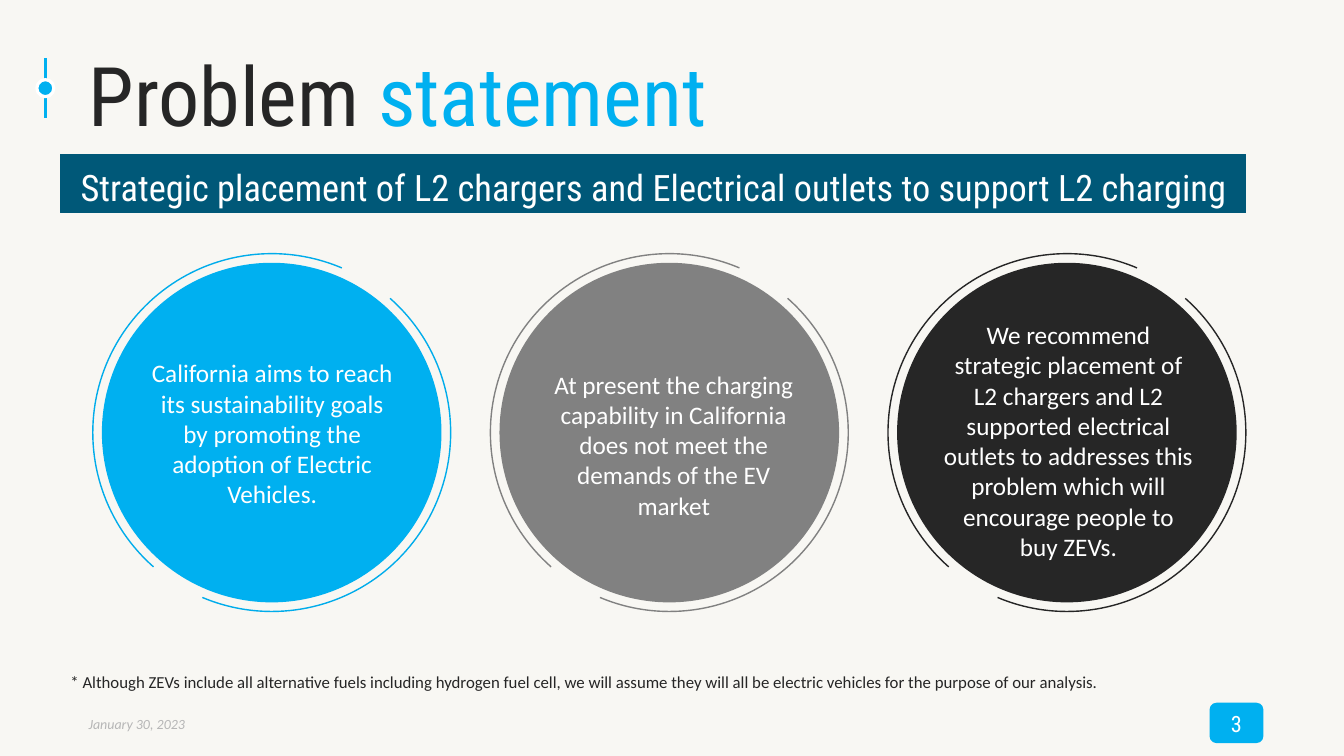
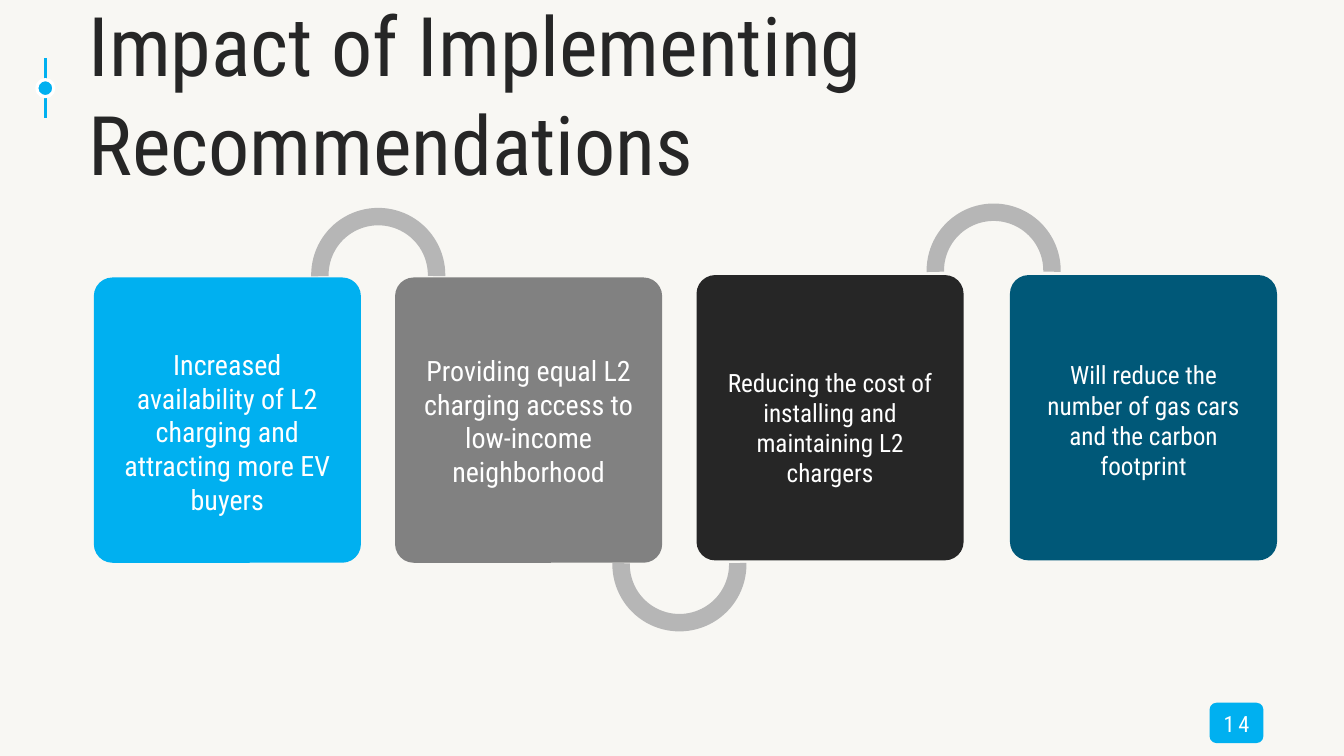
from lxml.etree import SubElement
from pptx import Presentation
from pptx.dml.color import RGBColor
from pptx.enum.shapes import MSO_CONNECTOR as Connector, MSO_SHAPE as Shape
from pptx.enum.text import MSO_ANCHOR as Anchor, PP_ALIGN as Align
from pptx.oxml.ns import qn
from pptx.util import Pt

COLORS = {
    "paper": "F8F7F3",
    "ink": "262626",
    "white": "FFFFFF",
    "sky": "00B0F0",
    "sky_ring": "00ACEB",
    "gray": "818181",
    "silver": "B6B6B6",
    "teal": "005878",
}
HEADING_FONT = "Roboto Condensed"
BODY_FONT = "Calibri"
DEFAULT_INSETS = (7.2, 3.6, 7.2, 3.6)

RING_SIZE = 255.6
RING_GAP = 6.5
RING_ARCS = ((78.81, 175.84), (186.83, 67.69))
CARD_WIDTH, CARD_HEIGHT = 190.8, 203.8
CARD_TEXT_INSET = 11.4
LOOP_SIZE = 95.8


def color(name):
    """Return the named palette colour."""
    return RGBColor.from_string(COLORS[name])


def write(shape, runs, size, font=BODY_FONT, align=Align.LEFT, anchor=Anchor.TOP,
          insets=DEFAULT_INSETS, italic=False, spacing=None):
    """Write one paragraph of (text, colour) runs into a shape."""
    frame = shape.text_frame
    frame.word_wrap = True
    frame.vertical_anchor = anchor
    frame.margin_left, frame.margin_top, frame.margin_right, frame.margin_bottom = map(Pt, insets)
    paragraph = frame.paragraphs[0]
    paragraph.alignment = align
    for text, ink in runs:
        run = paragraph.add_run()
        run.text = text
        run.font.name = font
        run.font.size = Pt(size)
        run.font.italic = italic
        run.font.color.rgb = color(ink)
        if spacing:
            run.font._element.set("spc", str(round(spacing * 100)))


def add_text(slide, box, runs, size, **style):
    """Add a text box."""
    write(slide.shapes.add_textbox(*map(Pt, box)), runs, size, **style)


def add_figure(slide, kind, box, fill=None, line=None, weight=1, adjustments=()):
    """Add a flat preset shape."""
    shape = slide.shapes.add_shape(kind, *map(Pt, box))
    shape.shadow.inherit = False
    for index, value in enumerate(adjustments):
        shape.adjustments[index] = value
    if fill:
        shape.fill.solid()
        shape.fill.fore_color.rgb = color(fill)
    else:
        shape.fill.background()
    if line:
        shape.line.color.rgb = color(line)
        shape.line.width = Pt(weight)
    else:
        shape.line.fill.background()
    return shape


def add_marker(slide):
    """Add the dotted upright line beside the title."""
    line = slide.shapes.add_connector(Connector.STRAIGHT, Pt(32.4), Pt(41.8), Pt(32.4), Pt(84.2))
    line.line.color.rgb = color("sky")
    line.line.width = Pt(2.25)
    SubElement(line._element.spPr, qn("a:effectLst"))
    add_figure(slide, Shape.OVAL, (26.3, 56.9, 12.2, 12.2), "sky", "white", 2.25)


def add_base_slide(presentation, title_runs, number):
    """Add a slide with background, marker, title and number badge."""
    slide = presentation.slides.add_slide(presentation.slide_layouts[6])
    slide.background.fill.solid()
    slide.background.fill.fore_color.rgb = color("paper")
    add_marker(slide)
    add_text(slide, (56.2, 21.6, 856, 90), title_runs, 58.7,
             font=HEADING_FONT, anchor=Anchor.MIDDLE)
    badge = add_figure(slide, Shape.ROUNDED_RECTANGLE, (864, 502, 38.4, 28.8), "sky")
    write(badge, [(number, "white")], 16, font=HEADING_FONT, align=Align.CENTER,
          anchor=Anchor.MIDDLE, insets=(0, 1.4, 0, 0), spacing=2.7)
    return slide


def add_ringed_circle(slide, left, top, fill, ring):
    """Add a disc inside a ring broken in two places."""
    disc = RING_SIZE - 2 * RING_GAP
    add_figure(slide, Shape.OVAL, (left + RING_GAP, top + RING_GAP, disc, disc), fill)
    for angles in RING_ARCS:
        add_figure(slide, Shape.ARC, (left, top, RING_SIZE, RING_SIZE),
                   line=ring, adjustments=angles)


def add_card(slide, left, top, fill, text, text_top, size):
    """Add a rounded card with centred text."""
    add_figure(slide, Shape.ROUNDED_RECTANGLE, (left, top, CARD_WIDTH, CARD_HEIGHT),
               fill, adjustments=(0.07,))
    text_box = (left + CARD_TEXT_INSET, text_top, CARD_WIDTH - 2 * CARD_TEXT_INSET, 167)
    add_text(slide, text_box, [(text, "white")], size, font=HEADING_FONT, align=Align.CENTER)


def add_loop(slide, left, top, rotation):
    """Add a half ring that links two cards."""
    loop = add_figure(slide, Shape.BLOCK_ARC, (left, top, LOOP_SIZE, LOOP_SIZE),
                      "silver", adjustments=(107.24, 0.67, 0.13))
    loop.rotation = rotation


def build_problem(presentation):
    """Build the problem statement slide."""
    slide = add_base_slide(presentation, [("Problem ", "ink"), ("statement", "sky")], "3")
    band = add_figure(slide, Shape.RECTANGLE, (43.2, 110.2, 846.7, 41.8), "teal", "teal", 0.75)
    write(band, [("Strategic placement of L2 chargers and Electrical outlets to support L2 charging",
                  "white")],
          26, font=HEADING_FONT, anchor=Anchor.MIDDLE, insets=(14.4, 8.6, 7.2, 3.6))
    circles = (
        ("sky", "sky_ring", (99.4, 252, 190, 121),
         "California aims to reach its sustainability goals by promoting the adoption of "
         "Electric Vehicles."),
        ("gray", "gray", (386.6, 260, 189.4, 138),
         "At present the charging capability in California does not meet the demands of the "
         "EV market"),
        ("ink", "ink", (665.3, 224.6, 195.8, 181.4),
         "We recommend strategic placement of L2 chargers and L2 supported electrical outlets "
         "to addresses this problem which will encourage people to buy ZEVs."),
    )
    for index, (fill, ring, text_box, text) in enumerate(circles):
        add_ringed_circle(slide, 66.3 + 284 * index, 181.2, fill, ring)
        add_text(slide, text_box, [(text, "white")], 18, align=Align.CENTER)
    add_text(slide, (43.2, 476.6, 879, 44),
             [("* Although ZEVs include all alternative fuels including hydrogen fuel cell, we will "
               "assume they will all be electric vehicles for the purpose of our analysis.", "ink")],
             12)
    add_text(slide, (56.2, 507.6, 224, 19.4), [("January 30, 2023", "silver")], 10, italic=True)


def build_impact(presentation):
    """Build the slide on the impact of the recommendations."""
    slide = add_base_slide(presentation, [("Impact of Implementing Recommendations", "ink")], "14")
    cards = (
        (67, 198.2, "sky",
         "Increased availability of L2 charging and attracting more EV buyers", 244.8, 20),
        (282.2, 198.2, "gray",
         "Providing equal L2 charging access to low-income neighborhood", 249.1, 20),
        (497.5, 196.5, "ink",
         "Reducing the cost of installing and maintaining L2 chargers", 258.5, 18),
        (721.4, 196.5, "teal",
         "Will reduce the number of gas cars and the carbon footprint", 253.4, 18),
    )
    for card in cards:
        add_card(slide, *card)
    for loop in ((222.3, 148.5, 0), (437.4, 355.2, 180), (661.9, 145.4, 0)):
        add_loop(slide, *loop)


def main():
    """Build and save the presentation."""
    presentation = Presentation()
    presentation.slide_width, presentation.slide_height = Pt(960), Pt(540)
    build_problem(presentation)
    build_impact(presentation)
    presentation.save("out.pptx")


if __name__ == "__main__":
    main()
